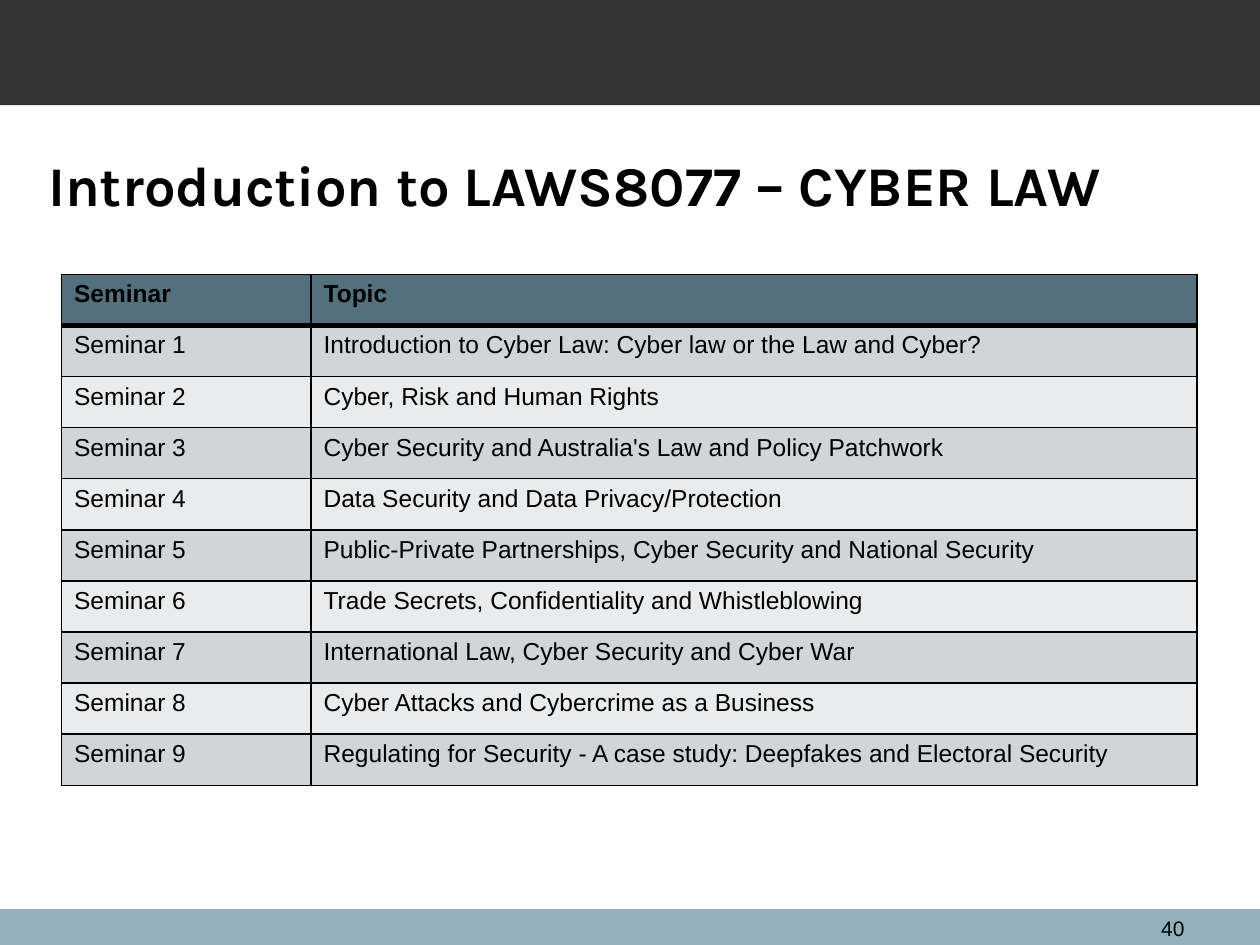
from lxml import etree
from pptx import Presentation
from pptx.dml.color import RGBColor
from pptx.enum.shapes import MSO_SHAPE
from pptx.enum.text import MSO_ANCHOR, PP_ALIGN
from pptx.oxml.ns import qn
from pptx.util import Cm, Pt

RECT = MSO_SHAPE.RECTANGLE
TOP, MIDDLE = MSO_ANCHOR.TOP, MSO_ANCHOR.MIDDLE
LEFT, RIGHT = PP_ALIGN.LEFT, PP_ALIGN.RIGHT

BLACK = RGBColor(0x00, 0x00, 0x00)
CHARCOAL = RGBColor(0x33, 0x33, 0x33)
PALE_BLUE = RGBColor(0x94, 0xB0, 0xBE)
SLATE = RGBColor(0x55, 0x70, 0x7D)
BANDS = (RGBColor(0xD1, 0xD5, 0xD7), RGBColor(0xE9, 0xEB, 0xEC))

TOPICS = [
    "Introduction to Cyber Law: Cyber law or the Law and Cyber?",
    "Cyber, Risk and Human Rights",
    "Cyber Security and Australia's Law and Policy Patchwork",
    "Data Security and Data Privacy/Protection",
    "Public-Private Partnerships, Cyber Security and National Security",
    "Trade Secrets, Confidentiality and Whistleblowing",
    "International Law, Cyber Security and Cyber War",
    "Cyber Attacks and Cybercrime as a Business",
    "Regulating for Security - A case study: Deepfakes and Electoral Security",
]


class SlideBuilder:
    body_font = "Arial"
    title_font = "Karla"

    def __init__(self, slide):
        self.s = slide

    def bar(self, top, height, color):
        sp = self.s.shapes.add_shape(RECT, 0, Cm(top), Cm(25.4), Cm(height))
        sp.shadow.inherit = False
        sp.fill.solid()
        sp.fill.fore_color.rgb = color
        sp.line.fill.background()

    def run(self, p, text, size, font, bold=False):
        r = p.add_run()
        r.text = text
        r.font.size = Pt(size)
        r.font.name = font
        r.font.bold = bold
        r.font.color.rgb = BLACK

    def text(self, box, text, size, font, bold=False, align=LEFT, anchor=TOP):
        tf = self.s.shapes.add_textbox(*map(Cm, box)).text_frame
        tf.word_wrap = True
        tf.vertical_anchor = anchor
        p = tf.paragraphs[0]
        p.alignment = align
        self.run(p, text, size, font, bold)

    def borders(self, cell, widths):
        tc_pr = cell._tc.get_or_add_tcPr()
        for i, (side, width) in enumerate(widths.items()):
            ln = etree.Element(qn(f"a:ln{side}"), w=str(Pt(width)))
            fill = etree.SubElement(ln, qn("a:solidFill"))
            etree.SubElement(fill, qn("a:srgbClr"), val=str(BLACK))
            tc_pr.insert(i, ln)

    def table(self, left, top, col_widths, row_height, rows):
        frame = self.s.shapes.add_table(
            len(rows), len(col_widths), Cm(left), Cm(top),
            Cm(sum(col_widths)), Cm(row_height * len(rows)))
        table = frame.table
        for column, width in zip(table.columns, col_widths):
            column.width = Cm(width)
        for i, values in enumerate(rows):
            header = i == 0
            table.rows[i].height = Cm(row_height)
            widths = {"L": 1, "R": 1, "T": 3 if i == 1 else 1, "B": 3 if header else 1}
            for j, value in enumerate(values):
                cell = table.cell(i, j)
                cell.fill.solid()
                cell.fill.fore_color.rgb = SLATE if header else BANDS[(i - 1) % 2]
                self.borders(cell, widths)
                p = cell.text_frame.paragraphs[0]
                self.run(p, value, 14, self.body_font, header)


def main():
    prs = Presentation()
    prs.slide_width, prs.slide_height = Cm(25.4), Cm(19.05)
    b = SlideBuilder(prs.slides.add_slide(prs.slide_layouts[6]))
    b.bar(18.33, 0.72, PALE_BLUE)
    b.bar(0, 2.12, CHARCOAL)
    rows = [("Seminar", "Topic")]
    rows += [(f"Seminar {n}", topic) for n, topic in enumerate(TOPICS, 1)]
    b.table(1.24, 5.53, (5.03, 17.86), 1.03, rows)
    b.text((22.5, 18.33, 1.63, 0.62), "40", 12, b.body_font, align=RIGHT)
    b.text((0.72, 2.12, 23, 3.18), "Introduction to LAWS8077 – CYBER LAW",
           32, b.title_font, bold=True, anchor=MIDDLE)
    prs.save("out.pptx")


if __name__ == "__main__":
    main()
